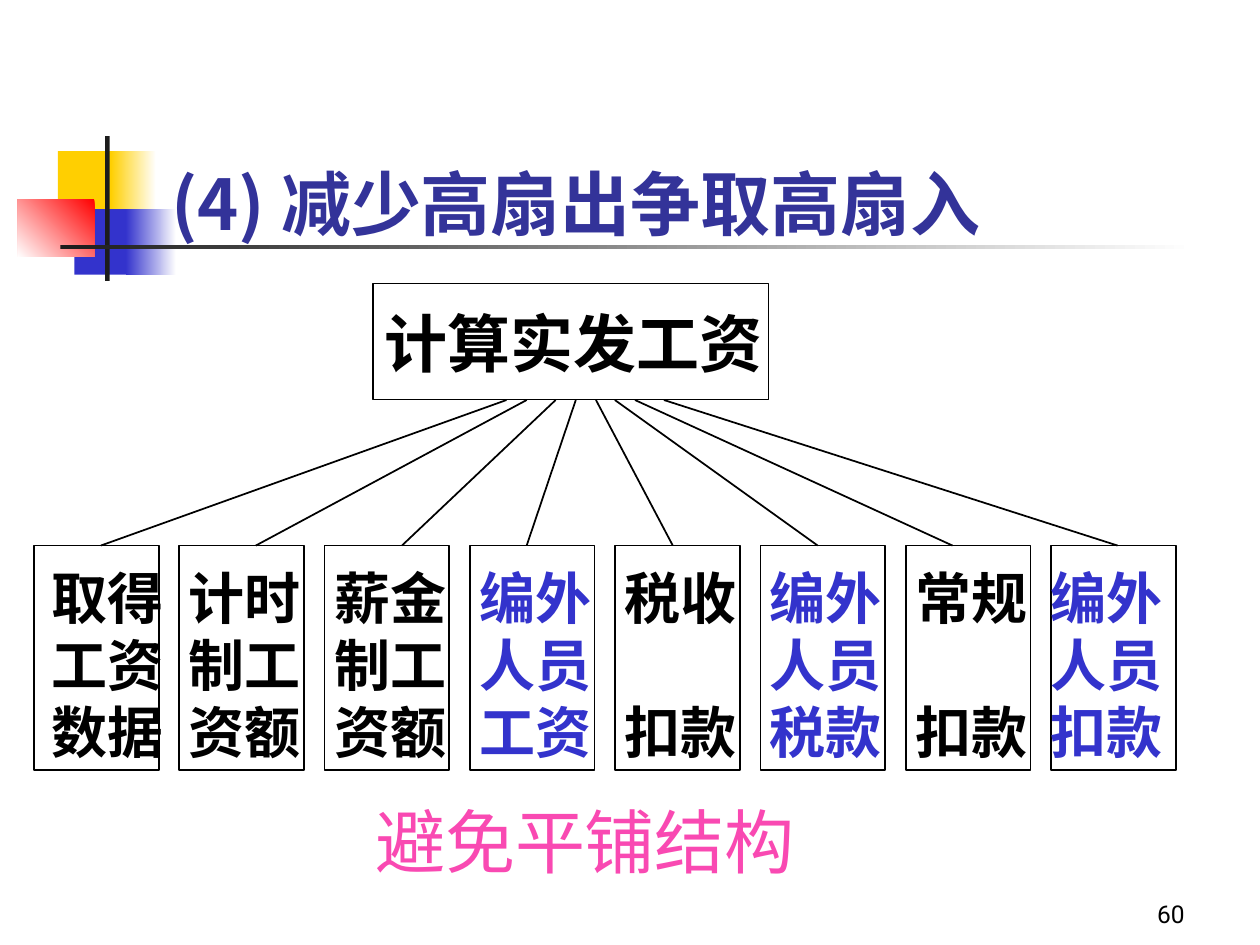
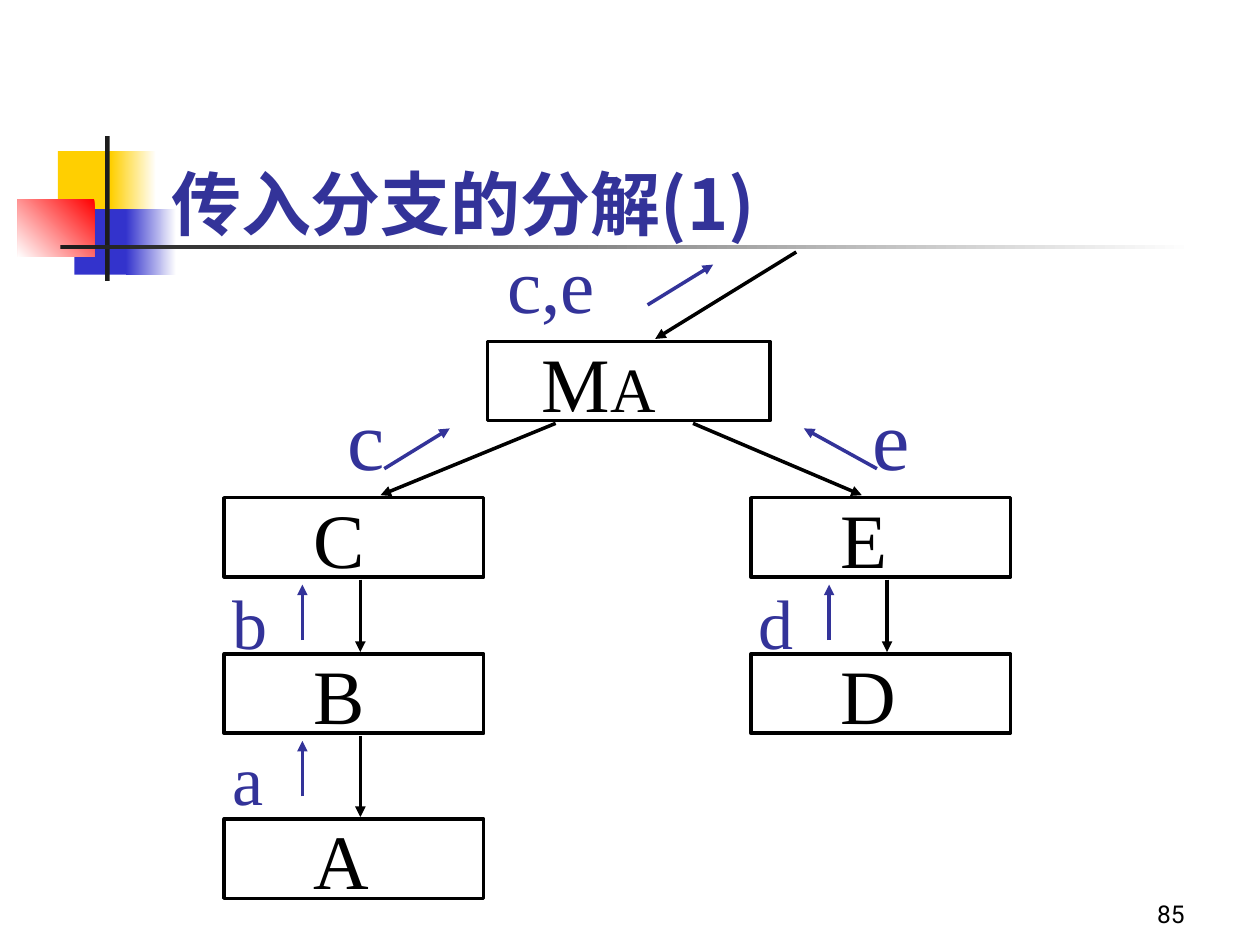
from dataclasses import dataclass

from lxml.etree import SubElement
from pptx import Presentation
from pptx.dml.color import RGBColor
from pptx.enum.shapes import MSO_CONNECTOR, MSO_SHAPE
from pptx.enum.text import MSO_ANCHOR, PP_ALIGN
from pptx.oxml.ns import qn
from pptx.util import Inches, Pt

COLS, ROWS = 100, 75


@dataclass(frozen=True)
class Theme:
    black: str = "000000"
    white: str = "FFFFFF"
    ink: str = "1C1C1C"
    navy: str = "333399"
    blue: str = "3333CC"
    yellow: str = "FFCF01"
    red: str = "FF0000"
    pink: str = "F949B2"
    cjk: str = "Noto Sans CJK SC"
    serif: str = "Times New Roman"
    sans: str = "Roboto"
    title: int = 40
    root: int = 36
    module: int = 32
    node: int = 44
    subscript: int = 36
    flow: int = 40
    flow_large: int = 48
    number: int = 14
    leading: float = 1.2
    thin: int = 1
    thick: int = 2


class Deck:
    def __init__(self, theme):
        self.t = theme
        self.prs = Presentation()
        self.prs.slide_width = Inches(10)
        self.prs.slide_height = Inches(7.5)
        self.s = None

    def x(self, cols):
        return round(self.prs.slide_width * cols / COLS)

    def y(self, rows):
        return round(self.prs.slide_height * rows / ROWS)

    def place(self, left, top, width, height):
        return self.x(left), self.y(top), self.x(width), self.y(height)

    def rect(self, box, fill=None, fade=None, angle=0, line=None):
        sp = self.s.shapes.add_shape(MSO_SHAPE.RECTANGLE, *self.place(*box))
        sp.shadow.inherit = False
        if fade:
            sp.fill.gradient()
            sp.fill.gradient_angle = angle
            for stop, color in zip(sp.fill.gradient_stops, (fill, fade)):
                stop.color.rgb = RGBColor.from_string(color)
        elif fill:
            sp.fill.solid()
            sp.fill.fore_color.rgb = RGBColor.from_string(fill)
        else:
            sp.fill.background()
        if line:
            sp.line.width = Pt(line)
            sp.line.color.rgb = RGBColor.from_string(self.t.black)
        else:
            sp.line.fill.background()

    def line(self, start, end, color, width, arrow=False):
        c = self.s.shapes.add_connector(
            MSO_CONNECTOR.STRAIGHT,
            self.x(start[0]), self.y(start[1]), self.x(end[0]), self.y(end[1]))
        c.line.width = Pt(width)
        c.line.color.rgb = RGBColor.from_string(color)
        if arrow:
            SubElement(c.line._get_or_add_ln(), qn("a:tailEnd"), type="triangle")
        SubElement(c._element.spPr, qn("a:effectLst"))

    def arrow(self, start, end, color):
        self.line(start, end, color, self.t.thick, arrow=True)

    def text(self, box, lines, size, font, color, bold=False, gap=0,
             anchor=MSO_ANCHOR.TOP, align=PP_ALIGN.LEFT):
        tf = self.s.shapes.add_textbox(*self.place(*box)).text_frame
        tf.word_wrap = True
        tf.vertical_anchor = anchor
        for i, runs in enumerate(lines):
            p = tf.paragraphs[0] if i == 0 else tf.add_paragraph()
            p.alignment = align
            p.line_spacing = Pt(size * self.t.leading)
            if i:
                p.space_before = Pt(gap)
            for words, run_size in [(runs, size)] if isinstance(runs, str) else runs:
                r = p.add_run()
                r.text = words
                r.font.size = Pt(run_size)
                r.font.name = font
                r.font.bold = bold
                r.font.color.rgb = RGBColor.from_string(color)
                SubElement(r.font._element, qn("a:ea"), typeface=font)

    def letters(self, left, top, words, size, color):
        self.text((left, top, 14, 8.3), [words], size, self.t.serif, color)

    def node(self, box, words, indent):
        self.rect(box, self.t.white, line=self.t.thick)
        self.letters(box[0] + indent, box[1] - 1, words, self.t.node, self.t.black)

    def slide(self, title, number):
        t = self.t
        self.s = self.prs.slides.add_slide(self.prs.slide_layouts[6])
        self.rect((4.6, 12, 4.8, 5.2), t.yellow)
        self.rect((8.8, 12, 3.6, 5.2), t.yellow, t.white)
        self.rect((5.9, 16.6, 4.6, 5.2), t.blue)
        self.rect((10, 16.6, 4, 5.2), t.blue, t.white)
        self.rect((1.4, 15.8, 6.1, 4.6), t.red, t.white, angle=225)
        self.rect((8.35, 10.8, 0.35, 11.5), t.ink)
        self.rect((4.8, 19.45, 90, 0.35), t.ink, t.white)
        self.text((12.6, 7.4, 85.2, 12.5), [title], t.title, t.cjk, t.navy,
                  bold=True, anchor=MSO_ANCHOR.BOTTOM)
        self.text((74.2, 69.2, 20.8, 5), [number], t.number, t.sans, t.black,
                  anchor=MSO_ANCHOR.BOTTOM, align=PP_ALIGN.RIGHT)


def flat_structure(d):
    t = d.t
    d.slide("(4) 减少高扇出争取高扇入", "60")
    d.rect((29.6, 22.5, 31.4, 9.2), line=t.thin)
    d.text((29.5, 23.7, 34, 7), ["计算实发工资"], t.root, t.cjk, t.black, bold=True)
    modules = [
        ("取得 工资 数据", t.black, 3.1, 40.2, 8),
        ("计时 制工 资额", t.black, 14, 41.8, 20.3),
        ("薪金 制工 资额", t.black, 25.6, 44.1, 31.9),
        ("编外 人员 工资", t.blue, 37.1, 45.7, 41.8),
        ("税收 扣款", t.black, 48.6, 47.3, 53.4),
        ("编外 人员 税款", t.blue, 60.1, 48.8, 64.9),
        ("常规 扣款", t.black, 71.7, 50.4, 75.6),
        ("编外 人员 扣款", t.blue, 82.4, 52.7, 88.7),
    ]
    for i, (words, color, left, root_x, module_x) in enumerate(modules):
        lines = words.split()
        gap = t.module * t.leading if len(lines) == 2 else 0
        d.rect((2.7 + 11.53 * i, 43.3, 9.9, 17.8), line=t.thin)
        d.text((left, 44.2, 12, 17), lines, t.module, t.cjk, color, bold=True, gap=gap)
        d.line((root_x, 31.75), (module_x, 43.3), t.black, t.thin)
    d.text((28.8, 62.9, 38, 7.7), ["避免平铺结构"], t.title, t.cjk, t.pink)


def branch(d, left, names, flows):
    t = d.t
    tops = (39.5, 51.9, 65)
    for top, name in zip(tops, names):
        d.node((left, top, 20.6, 6.3), name, 6.1)
    for top, below, flow in zip(tops, tops[1:], flows):
        d.arrow((left + 10.8, top + 6.5), (left + 10.8, below - 0.15), t.black)
        d.arrow((left + 6.2, top + 11.3), (left + 6.2, top + 6.9), t.navy)
        d.letters(left - 0.35, top + 6, flow, t.flow, t.navy)


def incoming_branch(d):
    t = d.t
    d.slide("传入分支的分解(1)", "85")
    d.node((38.7, 27.1, 22.4, 6.3), [("M", t.node), ("A", t.subscript)], 3.3)
    branch(d, 17.8, "CBA", "ba")
    branch(d, 59.6, "ED", "d")
    for start, end, color in [
        ((63.2, 20), (52, 26.9), t.black),
        ((44.1, 33.6), (30.2, 39.3), t.black),
        ((55, 33.6), (68.4, 39.3), t.black),
        ((51.4, 24.2), (56.6, 21), t.navy),
        ((30.5, 37.2), (35.7, 34), t.navy),
        ((69.6, 37.2), (63.8, 34), t.navy),
    ]:
        d.arrow(start, end, color)
    d.letters(39.3, 18.3, "c,e", t.node, t.navy)
    for left, flow in ((26.6, "c"), (68.3, "e")):
        d.letters(left, 30.2, flow, t.flow_large, t.navy)


def main():
    d = Deck(Theme())
    flat_structure(d)
    incoming_branch(d)
    d.prs.save("out.pptx")


if __name__ == "__main__":
    main()
